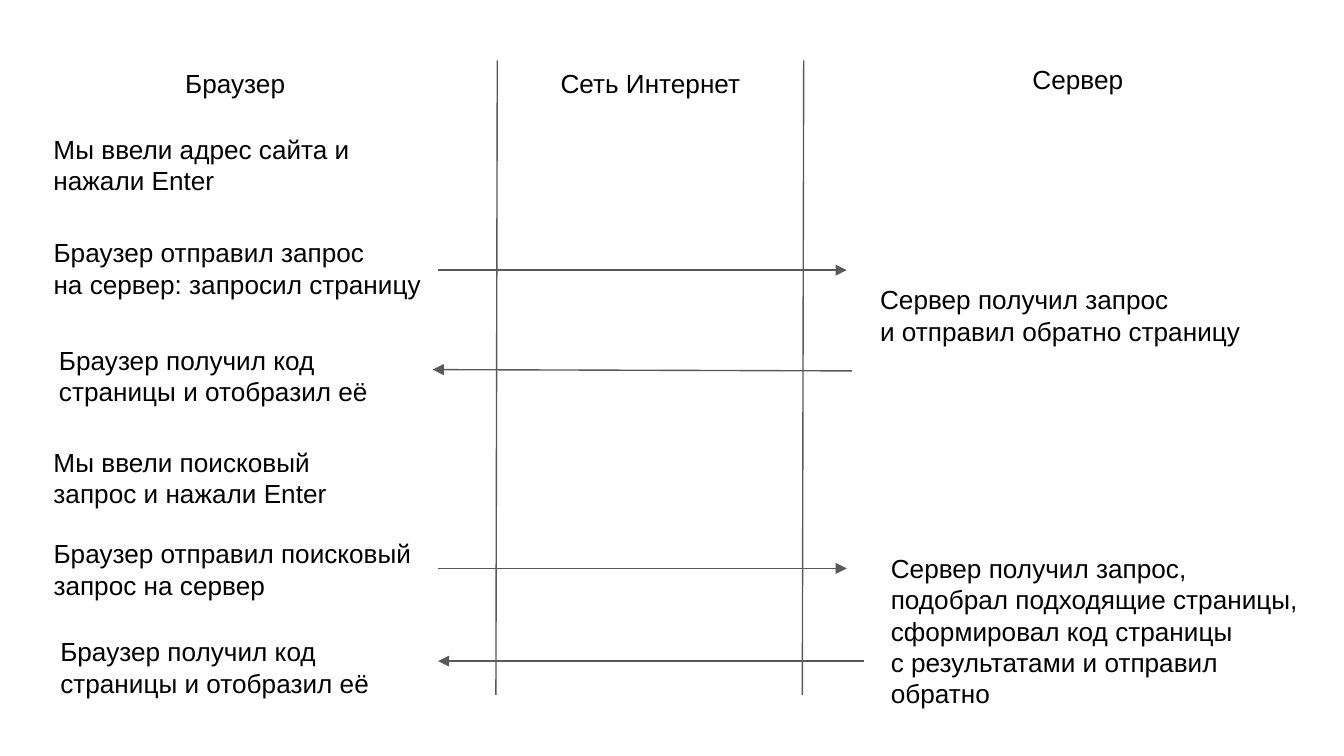
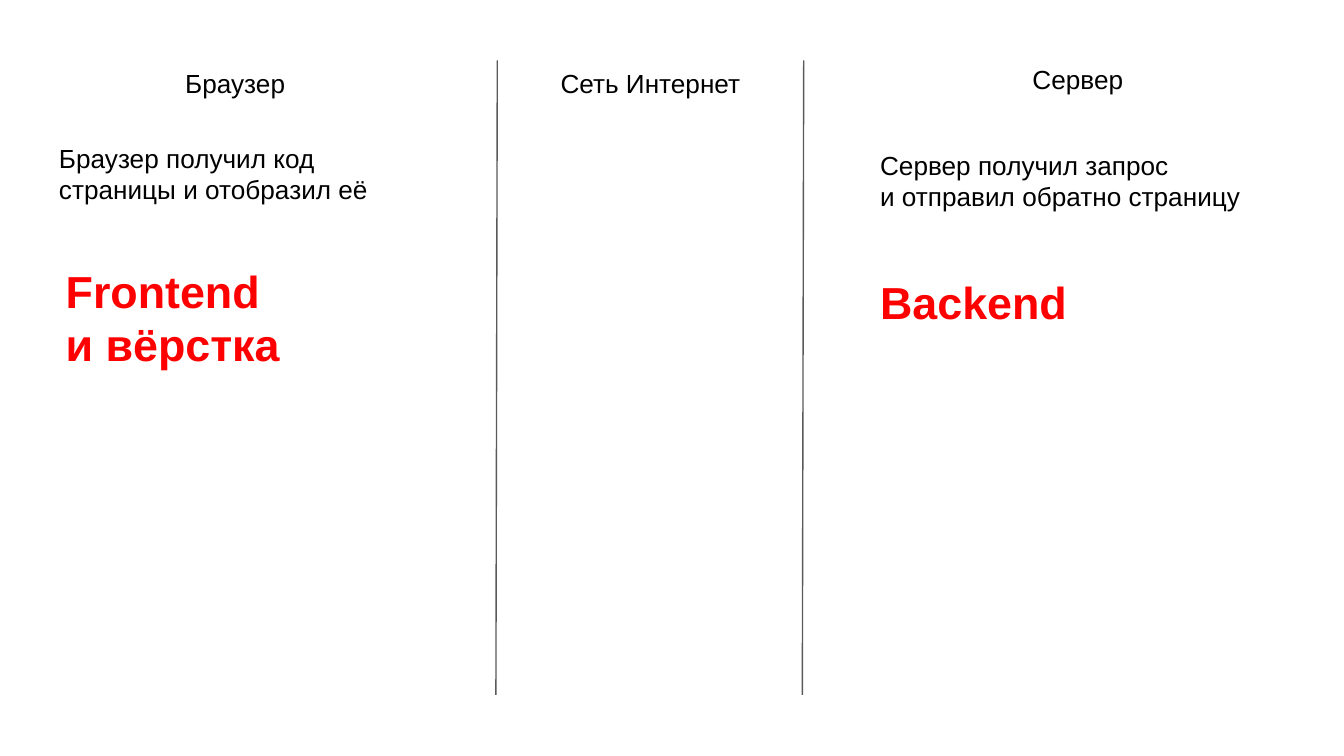
import dataclasses
import pptx
import pptx.dml.color
import pptx.enum.shapes
import pptx.enum.text
import pptx.util
from lxml import etree
import pptx.oxml.ns

Inches = pptx.util.Inches


@dataclasses.dataclass(frozen=True)
class Theme:
    font: str = "Arial"
    ink: str = "000000"
    accent: str = "FF0000"
    rule: str = "595959"
    body_size: float = 14
    label_size: float = 24
    rule_width: float = 0.75
    inset: float = 0.1
    rule_top: float = 0.45
    rule_bottom: float = 5.17


class Diagram:
    """Draws browser, network and server exchanges on the current slide."""

    def __init__(self, deck, theme):
        self.deck = deck
        self.theme = theme
        self.page = None

    def new_page(self):
        self.page = self.deck.slides.add_slide(self.deck.slide_layouts[6])
        for x in (3.7, 5.98):
            self.line((x, self.theme.rule_top), (x - 0.01, self.theme.rule_bottom))
        for title, left, top in (("Браузер", 0.43, 0.4), ("Сеть Интернет", 3.52, 0.4), ("Сервер", 6.7, 0.37)):
            self.text(title, left, top, 2.64, 0.49, align=pptx.enum.text.PP_ALIGN.CENTER)

    def line(self, start, end):
        connector = self.page.shapes.add_connector(
            pptx.enum.shapes.MSO_CONNECTOR.STRAIGHT, *(Inches(value) for value in (*start, *end)))
        connector.line.color.rgb = pptx.dml.color.RGBColor.from_string(self.theme.rule)
        connector.line.width = pptx.util.Pt(self.theme.rule_width)
        etree.SubElement(connector._element.spPr, pptx.oxml.ns.qn("a:effectLst"))
        return connector

    def arrow(self, start, end):
        outline = self.line(start, end).line._get_or_add_ln()
        etree.SubElement(outline, pptx.oxml.ns.qn("a:tailEnd"), type="triangle", w="med", len="med")

    def text(self, words, left, top, width, height=0.65, size=None, color=None, bold=False,
             align=pptx.enum.text.PP_ALIGN.LEFT):
        box = self.page.shapes.add_textbox(Inches(left), Inches(top), Inches(width), Inches(height))
        frame = box.text_frame
        frame.word_wrap = True
        frame.margin_left = frame.margin_right = Inches(self.theme.inset)
        frame.margin_top = frame.margin_bottom = Inches(self.theme.inset)
        frame.text = words
        for para in frame.paragraphs:
            para.alignment = align
            for span in para.runs:
                span.font.name = self.theme.font
                span.font.size = pptx.util.Pt(size or self.theme.body_size)
                span.font.bold = bold
                span.font.color.rgb = pptx.dml.color.RGBColor.from_string(color or self.theme.ink)

    def browser_received(self, left, top):
        self.text("Браузер получил код\nстраницы и отобразил её", left, top, 3.12)

    def server_replied(self, top):
        self.text("Сервер получил запрос\nи отправил обратно страницу", 6.45, top, 3.4)

    def label(self, words, left, top):
        self.text(words, left, top, 3.12, 0.89, self.theme.label_size, self.theme.accent, True)


def draw_exchange(diagram):
    diagram.new_page()
    diagram.text("Мы ввели адрес сайта и нажали Enter", 0.3, 0.89, 3, 0.7)
    diagram.text("Браузер отправил запрос\nна сервер: запросил страницу", 0.3, 1.66, 3.15)
    diagram.arrow((3.26, 2.01), (6.3, 2.01))
    diagram.server_replied(2.01)
    diagram.arrow((6.34, 2.76), (3.22, 2.75))
    diagram.browser_received(0.34, 2.46)
    diagram.text("Мы ввели поисковый запрос и нажали Enter", 0.3, 3.22, 2.56, 0.56)
    diagram.text("Браузер отправил поисковый запрос на сервер", 0.3, 3.9, 3.15)
    diagram.arrow((3.26, 4.23), (6.3, 4.23))
    diagram.text("Сервер получил запрос,\nподобрал подходящие страницы,\nсформировал код страницы\n"
                 "с результатами и отправил обратно", 6.53, 4.01, 3.4)
    diagram.arrow((6.43, 4.92), (3.26, 4.92))
    diagram.browser_received(0.35, 4.63)


def draw_roles(diagram):
    diagram.new_page()
    diagram.server_replied(1.01)
    diagram.browser_received(0.34, 0.96)
    diagram.label("Frontend\nи вёрстка", 0.39, 1.86)
    diagram.label("Backend", 6.45, 1.94)


def main():
    deck = pptx.Presentation()
    deck.slide_width = Inches(10)
    deck.slide_height = Inches(10 * 9 / 16)
    diagram = Diagram(deck, Theme())
    draw_exchange(diagram)
    draw_roles(diagram)
    deck.save("out.pptx")


main()
